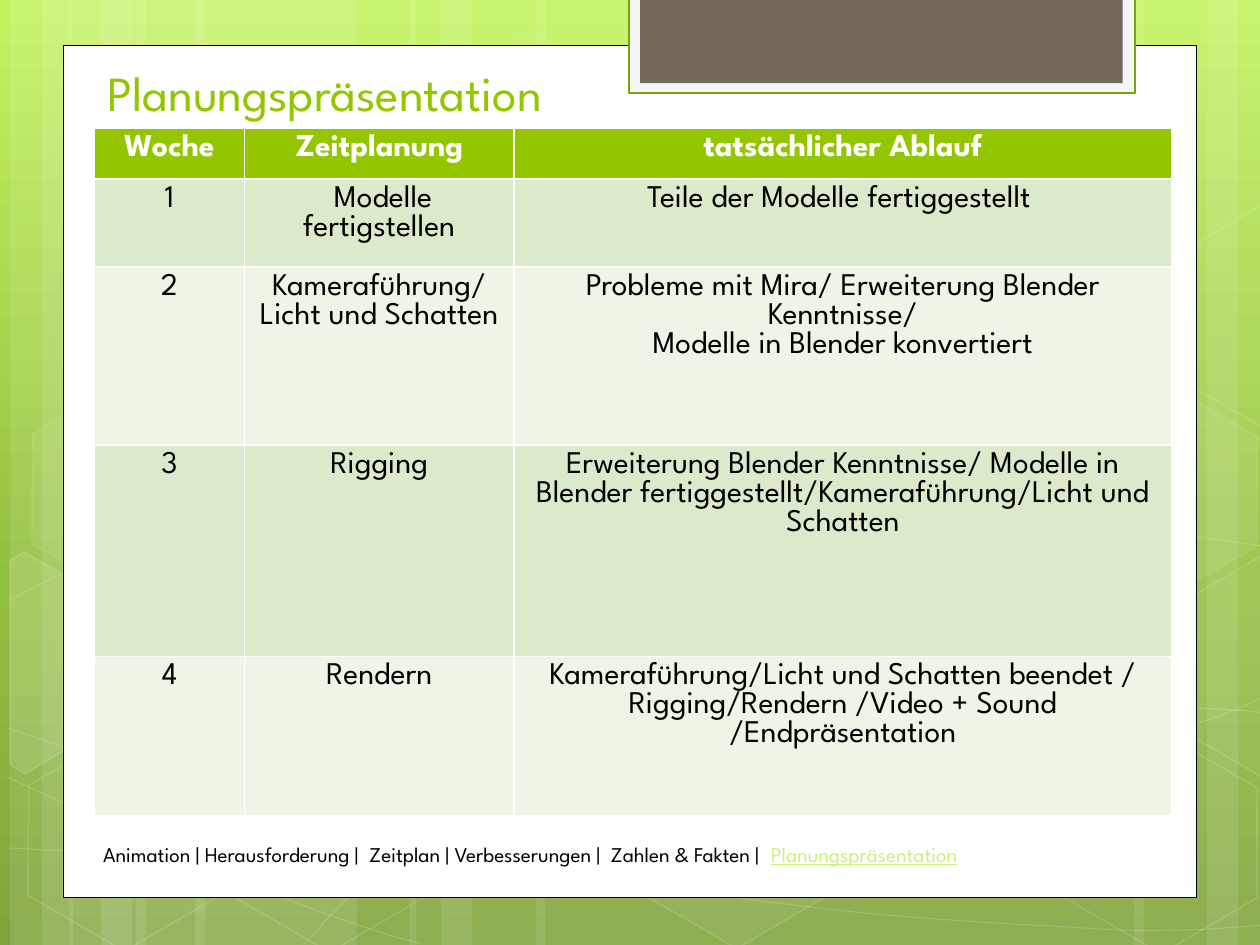
from dataclasses import dataclass
from typing import NamedTuple, Optional

import lxml.etree
import pptx
import pptx.dml.color
import pptx.enum.shapes
import pptx.enum.text
import pptx.oxml.ns
import pptx.util

Inches = pptx.util.Inches
qn = pptx.oxml.ns.qn
Shapes = pptx.enum.shapes.MSO_SHAPE
Align = pptx.enum.text.PP_ALIGN
Anchor = pptx.enum.text.MSO_ANCHOR
Point = tuple[float, float]


@dataclass(frozen=True)
class Theme:
    font: str = "League Spartan"
    white: str = "FFFFFF"
    black: str = "000000"
    green: str = "94C600"
    link: str = "CAF278"
    tab_frame: str = "F5F5F5"
    tab_line: str = "74A510"
    tab_fill: str = "71685A"
    bands: tuple[str, str] = ("DCEACC", "EEF5E7")
    gradient: tuple[tuple[int, str], ...] = ((0, "C3F35F"), (62, "93BF3F"), (100, "81A53E"))
    title_size: int = 28
    table_size: int = 18
    footer_size: int = 12


class Paint(NamedTuple):
    fill: Optional[str] = None
    fill_alpha: int = 100
    line: Optional[str] = None
    line_width: float = 1
    line_alpha: int = 100


class Box(NamedTuple):
    left: float
    top: float
    width: float
    height: float


class Hexagon(NamedTuple):
    left: float
    top: float
    fill_alpha: int
    line_alpha: int


class Outline(NamedTuple):
    points: list[Point]
    fill_alpha: int


THEME = Theme()

STRIPES = [(1.08, 1.75), (0.08, 0.5), (0.33, 0.83), (1.55, 1.75), (0.55, 0.5), (0.8, 0.83),
           (7.33, 1.75), (9.58, 0.5), (9, 0.83), (4.25, 3.08), (3.25, 0.5), (3.5, 0.83)]

CURVES = [
    [(0.07, 6.73), (0.61, 6.76), (1.15, 6.79), (1.9, 6.78), (2.65, 6.77), (3.58, 6.75), (4.58, 6.65),
     (5.58, 6.55), (7, 6.36), (7.92, 6.17), (8.83, 5.98), (9.77, 5.68), (10.07, 5.51)],
    [(0.07, 4.77), (0.36, 4.61), (0.65, 4.46), (1.21, 4.31), (1.78, 4.16), (2.59, 3.94), (3.47, 3.87),
     (4.36, 3.8), (5.44, 3.79), (6.54, 3.87), (7.64, 3.95), (9.47, 4.26), (10.07, 4.34)],
    [(0.06, 6.17), (1.27, 6.72), (2.47, 7.27), (3.34, 7.49)],
    [(0.07, 5.78), (0.38, 5.89), (0.7, 6), (1.28, 6.16), (1.86, 6.31), (2.73, 6.56), (3.57, 6.73),
     (4.4, 6.9), (5.45, 7.08), (6.28, 7.18), (7.11, 7.29), (8, 7.33), (8.53, 7.36),
     (9.05, 7.4), (9.19, 7.38), (9.45, 7.38), (9.71, 7.37), (9.89, 7.35), (10.07, 7.34)],
    [(2.42, 7.49), (2.6, 7.29), (2.78, 7.09), (3.02, 6.91), (3.26, 6.73), (3.6, 6.53), (3.88, 6.39),
     (4.16, 6.25), (4.33, 6.19), (4.7, 6.09), (5.06, 5.99), (5.73, 5.85), (6.08, 5.78),
     (6.44, 5.71), (6.49, 5.71), (6.8, 5.69), (7.11, 5.66), (7.6, 5.63), (7.94, 5.62),
     (8.29, 5.61), (8.86, 5.62), (8.86, 5.62), (9.08, 5.62), (9.31, 5.62), (9.53, 5.62),
     (9.71, 5.63), (9.88, 5.64), (9.97, 5.65), (10.06, 5.66), (10.03, 5.65), (10.06, 5.66)],
]

HEXAGONS = [
    Hexagon(3.34, 0.36, 4, 8), Hexagon(4.97, 5.89, 6, 12), Hexagon(0.11, 5.91, 0, 12),
    Hexagon(0.14, 3.12, 7, 8), Hexagon(1.74, 5.92, 0, 12), Hexagon(7.53, 4.53, 10, 12),
    Hexagon(8.34, 5.93, 0, 12), Hexagon(8.34, 3.14, 7, 8),
]

CUT_HEXAGONS = [
    Outline([(0.08, 4.45), (0.19, 4.38), (0.96, 4.82), (0.95, 5.7), (0.2, 6.14), (0.08, 6.07)], 10),
    Outline([(9.26, 4.85), (10.01, 4.41), (10.09, 4.46), (10.09, 6.13), (10.02, 6.17), (9.26, 5.73)], 4),
    Outline([(9.26, 2.07), (10.01, 1.63), (10.1, 1.68), (10.09, 3.35), (10.02, 3.39), (9.26, 2.95)], 0),
]

COLUMN_WIDTHS = [1.19, 2.14, 5.22]
ROW_HEIGHTS = [0.39, 0.68, 1.41, 1.68, 1.26]
PLAN = [
    ("Woche", "Zeitplanung", "tatsächlicher Ablauf"),
    ("1", " Modelle fertigstellen", "Teile der Modelle fertiggestellt "),
    ("2", "Kameraführung/Licht und Schatten",
     "Probleme mit Mira/ Erweiterung Blender Kenntnisse/\nModelle in Blender konvertiert"),
    ("3", "Rigging", "Erweiterung Blender Kenntnisse/ Modelle in Blender "
     "fertiggestellt/Kameraführung/Licht und Schatten"),
    ("4", "Rendern", "Kameraführung/Licht und Schatten beendet /\n"
     "Rigging/Rendern /Video + Sound /Endpräsentation"),
]


def rgb(color: str) -> pptx.dml.color.RGBColor:
    return pptx.dml.color.RGBColor.from_string(color)


def set_alpha(shape, tags: tuple[str, ...], percent: int) -> None:
    if percent < 100:
        color = shape._element.spPr.find("/".join(map(qn, tags)))
        lxml.etree.SubElement(color, qn("a:alpha")).set("val", str(percent * 1000))


def apply_paint(shape, paint: Paint) -> None:
    shape.shadow.inherit = False
    if paint.fill and paint.fill_alpha:
        shape.fill.solid()
        shape.fill.fore_color.rgb = rgb(paint.fill)
        set_alpha(shape, ("a:solidFill", "a:srgbClr"), paint.fill_alpha)
    else:
        shape.fill.background()
    if paint.line:
        shape.line.color.rgb = rgb(paint.line)
        shape.line.width = pptx.util.Pt(paint.line_width)
        set_alpha(shape, ("a:ln", "a:solidFill", "a:srgbClr"), paint.line_alpha)
    else:
        shape.line.fill.background()


def add_preset(slide, preset, box: Box, paint: Paint):
    shape = slide.shapes.add_shape(preset, *map(Inches, box))
    apply_paint(shape, paint)
    return shape


def add_outline(slide, points: list[Point], closed: bool, paint: Paint):
    corners = [(Inches(x), Inches(y)) for x, y in points]
    builder = slide.shapes.build_freeform(*corners[0])
    builder.add_line_segments(corners[1:], close=closed)
    shape = builder.convert_to_shape()
    apply_paint(shape, paint)
    return shape


def add_curve(slide, controls: list[Point], paint: Paint) -> None:
    shape = add_outline(slide, controls, False, paint)
    segments = list(shape._element.iter(qn("a:lnTo")))
    for start in range(0, len(segments), 3):
        first, *others = segments[start:start + 3]
        first.tag = qn("a:cubicBezTo")
        for other in others:
            first.append(other[0])
            other.getparent().remove(other)


def set_font(font, size: int, color: str, bold: bool = False) -> None:
    font.name = THEME.font
    font.size = pptx.util.Pt(size)
    font.bold = bold
    font.color.rgb = rgb(color)


def add_background(slide) -> None:
    fill = slide.background.fill
    fill.gradient()
    fill.gradient_angle = 270
    stops = slide._element.find(".//" + qn("a:gsLst"))
    for stop in list(stops):
        stops.remove(stop)
    for position, color in THEME.gradient:
        stop = lxml.etree.SubElement(stops, qn("a:gs"), pos=str(position * 1000))
        lxml.etree.SubElement(stop, qn("a:srgbClr"), val=color)


def add_decoration(slide) -> None:
    for left, width in STRIPES:
        add_preset(slide, Shapes.RECTANGLE, Box(left, 0, width, 7.5), Paint(THEME.white, 10))
    for controls in CURVES:
        add_curve(slide, controls, Paint(line=THEME.white, line_width=0.5, line_alpha=20))
    for hexagon in HEXAGONS:
        paint = Paint(THEME.white, hexagon.fill_alpha, THEME.white, 1, hexagon.line_alpha)
        shape = add_preset(slide, Shapes.HEXAGON, Box(hexagon.left, hexagon.top, 1.75, 1.52), paint)
        shape.adjustments[0] = 0.285
        shape.rotation = 30
    for outline in CUT_HEXAGONS:
        add_outline(slide, outline.points, True, Paint(THEME.white, outline.fill_alpha, THEME.white, 1, 12))


def add_panels(slide) -> None:
    add_preset(slide, Shapes.RECTANGLE, Box(0.5, 0.36, 9, 6.76), Paint(THEME.white, line=THEME.black, line_width=0.5))
    add_preset(slide, Shapes.RECTANGLE, Box(4.99, -0.02, 4.02, 0.76),
               Paint(THEME.tab_frame, line=THEME.tab_line, line_width=1.25))
    add_preset(slide, Shapes.RECTANGLE, Box(5.08, -0.02, 3.83, 0.68), Paint(THEME.tab_fill))


def add_title(slide) -> None:
    title = slide.shapes.title
    slide.shapes._spTree.append(title._element)
    title.left, title.top, title.width, title.height = map(Inches, Box(0.75, 0.16, 7.68, 0.85))
    title.text_frame.text = "Planungspräsentation"
    title.text_frame.vertical_anchor = Anchor.BOTTOM
    paragraph = title.text_frame.paragraphs[0]
    paragraph.alignment = Align.LEFT
    set_font(paragraph.font, THEME.title_size, THEME.green)


def add_footer(slide) -> None:
    frame = slide.shapes.add_textbox(*map(Inches, Box(0.72, 6.58, 8.58, 0.4))).text_frame
    frame.word_wrap = True
    frame.vertical_anchor = Anchor.MIDDLE
    paragraph = frame.paragraphs[0]
    paragraph.alignment = Align.JUSTIFY
    sections = paragraph.add_run()
    sections.text = "Animation | Herausforderung |  Zeitplan | Verbesserungen |  Zahlen & Fakten |  "
    set_font(sections.font, THEME.footer_size, THEME.black)
    current = paragraph.add_run()
    current.text = "Planungspräsentation"
    set_font(current.font, THEME.footer_size, THEME.link)
    current.font.underline = True


def add_plan(slide) -> None:
    box = Box(0.75, 1.02, sum(COLUMN_WIDTHS), sum(ROW_HEIGHTS))
    table = slide.shapes.add_table(len(PLAN), len(COLUMN_WIDTHS), *map(Inches, box)).table
    for column, width in zip(table.columns, COLUMN_WIDTHS):
        column.width = Inches(width)
    for row_index, (texts, height) in enumerate(zip(PLAN, ROW_HEIGHTS)):
        header = row_index == 0
        table.rows[row_index].height = Inches(height)
        for cell, text in zip(table.rows[row_index].cells, texts):
            cell.text = text
            cell.fill.solid()
            cell.fill.fore_color.rgb = rgb(THEME.green if header else THEME.bands[(row_index - 1) % 2])
            for paragraph in cell.text_frame.paragraphs:
                paragraph.alignment = Align.CENTER
                set_font(paragraph.font, THEME.table_size, THEME.white if header else THEME.black, header)


def main() -> None:
    presentation = pptx.Presentation()
    presentation.slide_width, presentation.slide_height = Inches(10), Inches(7.5)
    slide = presentation.slides.add_slide(presentation.slide_layouts[5])
    for add_part in (add_background, add_decoration, add_panels, add_title, add_footer, add_plan):
        add_part(slide)
    presentation.save("out.pptx")


if __name__ == "__main__":
    main()
